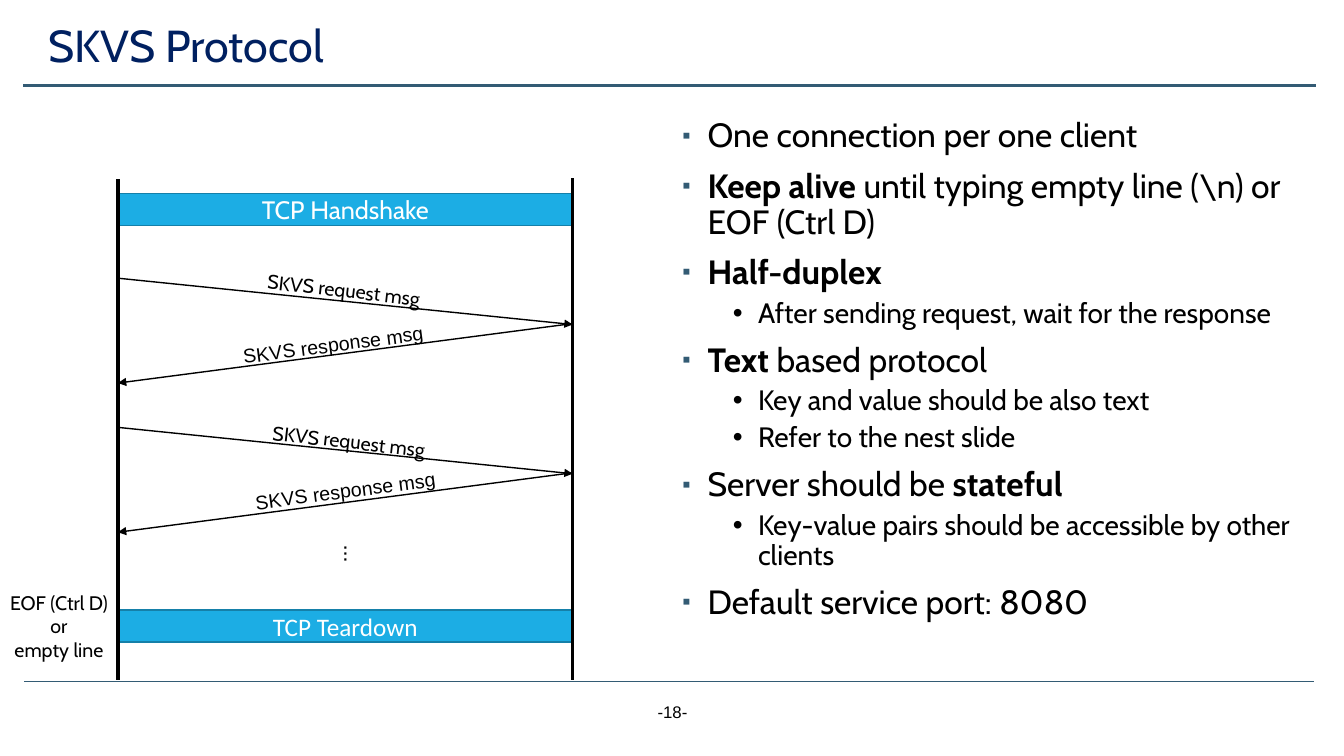
from dataclasses import dataclass
from typing import Any

import pptx
import pptx.dml.color
import pptx.enum.shapes
import pptx.enum.text
import pptx.oxml
import pptx.oxml.ns
import pptx.util

Inches = pptx.util.Inches
Pt = pptx.util.Pt
RGBColor = pptx.dml.color.RGBColor
Align = pptx.enum.text.PP_ALIGN
Anchor = pptx.enum.text.MSO_ANCHOR
AutoSize = pptx.enum.text.MSO_AUTO_SIZE

BLACK = RGBColor(0x00, 0x00, 0x00)
WHITE = RGBColor(0xFF, 0xFF, 0xFF)
NAVY = RGBColor(0x00, 0x20, 0x60)
SLATE = RGBColor(0x33, 0x5B, 0x74)
SKY = RGBColor(0x1C, 0xAD, 0xE4)
SKY_EDGE = RGBColor(0x15, 0x80, 0xA9)

CLIENT_X, SERVER_X = 1.17, 5.68
ROUND_STEP = 1.48


@dataclass
class Line:
    x1: float
    y1: float
    x2: float
    y2: float
    width: float = 1
    color: RGBColor = BLACK
    arrow: bool = False


@dataclass
class Label:
    lines: list[str]
    left: float
    top: float
    width: float
    height: float
    size: float = 14
    font: str = "Cabin"
    color: RGBColor = BLACK
    align: Any = Align.CENTER
    rotation: float = 0
    wrap: bool = False
    grow: bool = True
    spacing: float = 1.0


@dataclass
class Bar:
    text: str
    top: float
    font: str


@dataclass
class Bullet:
    runs: list[tuple[str, bool]]
    level: int = 0


@dataclass
class BulletStyle:
    size: float
    indent: float
    space_before: float
    marks: list[str]


LINES = [
    # Header and footer rules
    Line(0.24, 6.76, 13.03, 6.76, 0.5, SLATE),
    Line(0.23, 0.85, 13.05, 0.85, 1.75, SLATE),
    # Client and server lifelines
    Line(CLIENT_X, 1.78, CLIENT_X, 6.75, 2.25),
    Line(SERVER_X, 1.77, SERVER_X, 6.75, 2.25),
]
# Request and response arrows of both rounds
for offset in (0, ROUND_STEP):
    LINES += [
        Line(CLIENT_X, 2.76 + offset, SERVER_X, 3.22 + offset, arrow=True),
        Line(SERVER_X, 3.21 + offset, CLIENT_X, 3.8 + offset, arrow=True),
    ]

BARS = [Bar("TCP Handshake", 1.92, "Cabin"), Bar("TCP Teardown", 6.05, "Calibri")]

LABELS = [
    Label(["SKVS Protocol"], 0.38, 0.19, 12.43, 0.63, 32, color=NAVY,
          align=Align.LEFT, wrap=True, grow=False, spacing=0.9),
    Label(["-18-"], 5.17, 6.91, 3, 0.4, 12, "Arial", wrap=True, grow=False),
    Label(["EOF (Ctrl D)", "or", "empty line"], 0, 5.81, 1.17, 0.81, wrap=True),
    Label(["…"], 3.31, 5.3, 0.41, 0.4, 18, rotation=90),
]
for left, top in ((2.52, 2.71), (2.57, 4.21)):
    LABELS.append(Label(["SKVS request msg"], left, top, 1.78, 0.34, rotation=6.6))
for left, top in ((2.3, 3.25), (2.42, 4.7)):
    LABELS.append(Label(["SKVS response msg"], left, top, 2.01, 0.34,
                        font="Arial", rotation=352.5))

BULLETS = [
    Bullet([("One connection per one client", False)]),
    Bullet([("Keep alive ", True), (r"until typing empty line (\n) or EOF (Ctrl D)", False)]),
    Bullet([("Half-duplex", True)]),
    Bullet([("After sending request, wait for the response", False)], 1),
    Bullet([("Text ", True), ("based protocol", False)]),
    Bullet([("Key and value should be also text", False)], 1),
    Bullet([("Refer to the nest slide", False)], 1),
    Bullet([("Server should be ", False), ("stateful", True)]),
    Bullet([("Key-value pairs should be accessible by other clients", False)], 1),
    Bullet([("Default service port: 8080", False)]),
]

BULLET_STYLES = [
    BulletStyle(24, 0.25, 10, [f'<a:buClr {{ns}}><a:srgbClr val="{SLATE}"/></a:buClr>',
                               '<a:buSzPct {ns} val="70000"/>',
                               '<a:buFont {ns} typeface="Arial"/>',
                               '<a:buChar {ns} char="▪"/>']),
    BulletStyle(20, 0.75, 5, ['<a:buFont {ns} typeface="Arial"/>',
                              '<a:buChar {ns} char="•"/>']),
]


def apply_format(target: Any, values: dict[str, Any]) -> None:
    for name, value in values.items():
        setattr(target, name, value)


def append_xml(parent: Any, template: str) -> None:
    namespace = pptx.oxml.ns.nsdecls("a")
    parent.append(pptx.oxml.parse_xml(template.replace("{ns}", namespace)))


def add_run(paragraph: Any, text: str, size: float, font: str,
            color: RGBColor, bold: bool = False) -> None:
    run = paragraph.add_run()
    run.text = text
    apply_format(run.font, {"size": Pt(size), "name": font, "bold": bold})
    run.font.color.rgb = color


def draw_line(slide: Any, line: Line) -> None:
    connector = slide.shapes.add_connector(
        pptx.enum.shapes.MSO_CONNECTOR.STRAIGHT,
        Inches(line.x1), Inches(line.y1), Inches(line.x2), Inches(line.y2))
    connector.line.width = Pt(line.width)
    connector.line.color.rgb = line.color
    if line.arrow:
        append_xml(connector.line._get_or_add_ln(), '<a:tailEnd {ns} type="triangle"/>')
    append_xml(connector._element.spPr, "<a:effectLst {ns}/>")


def draw_bar(slide: Any, bar: Bar) -> None:
    shape = slide.shapes.add_shape(
        pptx.enum.shapes.MSO_SHAPE.RECTANGLE, Inches(CLIENT_X), Inches(bar.top),
        Inches(SERVER_X - CLIENT_X), Inches(0.32))
    shape.shadow.inherit = False
    shape.fill.solid()
    shape.fill.fore_color.rgb = SKY
    shape.line.color.rgb = SKY_EDGE
    shape.line.width = Pt(1)
    shape.text_frame.vertical_anchor = Anchor.MIDDLE
    paragraph = shape.text_frame.paragraphs[0]
    paragraph.alignment = Align.CENTER
    add_run(paragraph, bar.text, 18, bar.font, WHITE)


def draw_label(slide: Any, label: Label) -> None:
    box = slide.shapes.add_textbox(Inches(label.left), Inches(label.top),
                                   Inches(label.width), Inches(label.height))
    box.rotation = label.rotation
    frame = box.text_frame
    auto_size = AutoSize.SHAPE_TO_FIT_TEXT if label.grow else AutoSize.NONE
    apply_format(frame, {"word_wrap": label.wrap, "auto_size": auto_size})
    for index, text in enumerate(label.lines):
        paragraph = frame.add_paragraph() if index else frame.paragraphs[0]
        apply_format(paragraph, {"alignment": label.align, "line_spacing": label.spacing})
        add_run(paragraph, text, label.size, label.font, label.color)


def draw_bullets(slide: Any, bullets: list[Bullet]) -> None:
    box = slide.shapes.add_textbox(Inches(6.67), Inches(1.13), Inches(6.34), Inches(5.52))
    box.fill.solid()
    box.fill.fore_color.rgb = WHITE
    frame = box.text_frame
    frame.word_wrap = True
    for index, bullet in enumerate(bullets):
        style = BULLET_STYLES[bullet.level]
        paragraph = frame.add_paragraph() if index else frame.paragraphs[0]
        space_before = Pt(style.space_before if index else 0)
        apply_format(paragraph, {"level": bullet.level, "line_spacing": 0.9,
                                 "space_before": space_before})
        properties = paragraph._p.get_or_add_pPr()
        properties.set("marL", str(Inches(style.indent)))
        properties.set("indent", str(Inches(-0.25)))
        for mark in style.marks:
            append_xml(properties, mark)
        for text, bold in bullet.runs:
            add_run(paragraph, text, style.size, "Cabin", BLACK, bold)


def main() -> None:
    presentation = pptx.Presentation()
    presentation.slide_width = Inches(13.33)
    presentation.slide_height = Inches(7.5)
    slide = presentation.slides.add_slide(presentation.slide_layouts[6])
    for bar in BARS:
        draw_bar(slide, bar)
    for line in LINES:
        draw_line(slide, line)
    for label in LABELS:
        draw_label(slide, label)
    draw_bullets(slide, BULLETS)
    presentation.save("out.pptx")


if __name__ == "__main__":
    main()
